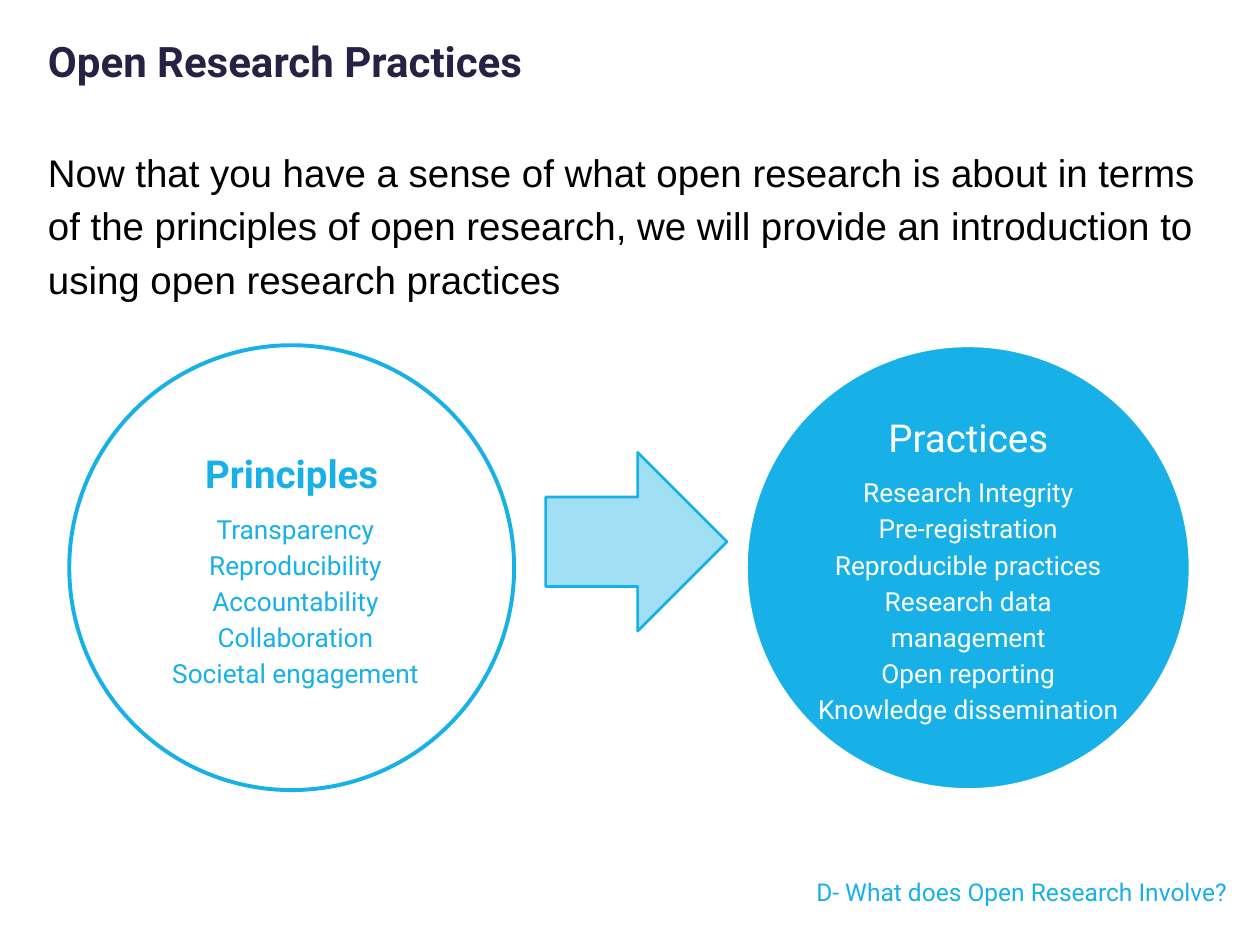
from lxml.etree import SubElement
from pptx import Presentation
from pptx.dml.color import RGBColor
from pptx.enum.shapes import MSO_SHAPE
from pptx.enum.text import MSO_ANCHOR, MSO_AUTO_SIZE, PP_ALIGN
from pptx.oxml.ns import qn
from pptx.util import Pt

BLUE, PALE_BLUE, NAVY = "17B1E7", "A1DFF5", "252244"
WHITE, BLACK = "FFFFFF", "000000"
CIRCLE_TOP, CIRCLE_SIZE = 197.3, 254.2
LIST_WIDTH = 193

INTRODUCTION = (
    "Now that you have a sense of what open research is about in terms of the "
    "principles of open research, we will provide an introduction to using "
    "open research practices"
)
PRINCIPLES = ["Transparency", "Reproducibility", "Accountability",
              "Collaboration", "Societal engagement"]
PRACTICES = ["Research Integrity", "Pre-registration", "Reproducible practices",
             "Research data management", "Open reporting",
             "Knowledge dissemination"]


def color(hex_string):
    return RGBColor.from_string(hex_string)


def place(shape, left, top, width, height):
    shape.left, shape.top = Pt(left), Pt(top)
    shape.width, shape.height = Pt(width), Pt(height)


def prepare_frame(text_frame):
    text_frame.word_wrap = True
    text_frame.auto_size = MSO_AUTO_SIZE.NONE
    text_frame.vertical_anchor = MSO_ANCHOR.TOP


def format_paragraph(paragraph, size, hex_string, font="Roboto", bold=False,
                     align=PP_ALIGN.LEFT, spacing=1.15, after=0):
    paragraph.alignment = align
    paragraph.line_spacing = spacing
    paragraph.space_before, paragraph.space_after = Pt(0), Pt(after)
    for run in paragraph.runs:
        run.font.name, run.font.size, run.font.bold = font, Pt(size), bold
        run.font.color.rgb = color(hex_string)


def set_indent(paragraph, left):
    properties = paragraph._p.get_or_add_pPr()
    properties.set("marL", str(Pt(left)))
    properties.set("indent", "0")
    return properties


def fill_placeholder(shape, text, box, **style):
    place(shape, *box)
    prepare_frame(shape.text_frame)
    shape.text_frame.text = text
    paragraph = shape.text_frame.paragraphs[0]
    format_paragraph(paragraph, **style)
    SubElement(set_indent(paragraph, 0), qn("a:buNone"))


def add_text_box(slide, left, top, width, height):
    box = slide.shapes.add_textbox(Pt(left), Pt(top), Pt(width), Pt(height))
    prepare_frame(box.text_frame)
    return box.text_frame


def add_shape(slide, kind, box, fill, line, line_width):
    shape = slide.shapes.add_shape(kind, *map(Pt, box))
    shape.shadow.inherit = False
    shape.fill.solid()
    shape.fill.fore_color.rgb = color(fill)
    shape.line.color.rgb = color(line)
    shape.line.width = Pt(line_width)


def add_circle(slide, left, fill, ink, heading, items, list_top, list_height,
               bold=False, indent=0):
    """Draw a circle with a heading and a centred list inside it."""
    add_shape(slide, MSO_SHAPE.OVAL, (left, CIRCLE_TOP, CIRCLE_SIZE, CIRCLE_SIZE),
              fill, ink, 2.25)
    list_left = left + (CIRCLE_SIZE - LIST_WIDTH) / 2
    text_frame = add_text_box(slide, list_left, list_top, LIST_WIDTH, list_height)
    text_frame.text = heading
    format_paragraph(text_frame.paragraphs[0], 22, ink, bold=bold,
                     align=PP_ALIGN.CENTER, after=6.7)
    for item in items:
        paragraph = text_frame.add_paragraph()
        paragraph.text = item
        format_paragraph(paragraph, 15, ink, align=PP_ALIGN.CENTER)
        set_indent(paragraph, indent)


def main():
    presentation = Presentation()
    presentation.slide_width, presentation.slide_height = Pt(720), Pt(540)
    slide = presentation.slides.add_slide(presentation.slide_layouts[1])

    # Title and introduction
    fill_placeholder(slide.shapes.title, "Open Research Practices",
                     (20.2, 20.2, 679, 63.4),
                     size=24, hex_string=NAVY, bold=True, spacing=0.9)
    fill_placeholder(slide.placeholders[1], INTRODUCTION,
                     (20.2, 77.8, 679, 386.6),
                     size=22, hex_string=BLACK, font="Arial")

    # From principles to practices
    add_shape(slide, MSO_SHAPE.RIGHT_ARROW, (311.8, 258.5, 103.7, 102.2),
              PALE_BLUE, BLUE, 1.5)
    add_circle(slide, 39.6, WHITE, BLUE, "Principles", PRINCIPLES,
               249.8, 149.8, bold=True, indent=4.3)
    add_circle(slide, 426.2, BLUE, WHITE, "Practices", PRACTICES, 229, 191.5)

    # Section label
    label = add_text_box(slide, 360, 499.7, 348.5, 27.4)
    label.text = "D- What does Open Research Involve?"
    format_paragraph(label.paragraphs[0], 14, BLUE, align=PP_ALIGN.RIGHT,
                     spacing=0.9)

    presentation.save("out.pptx")


if __name__ == "__main__":
    main()
